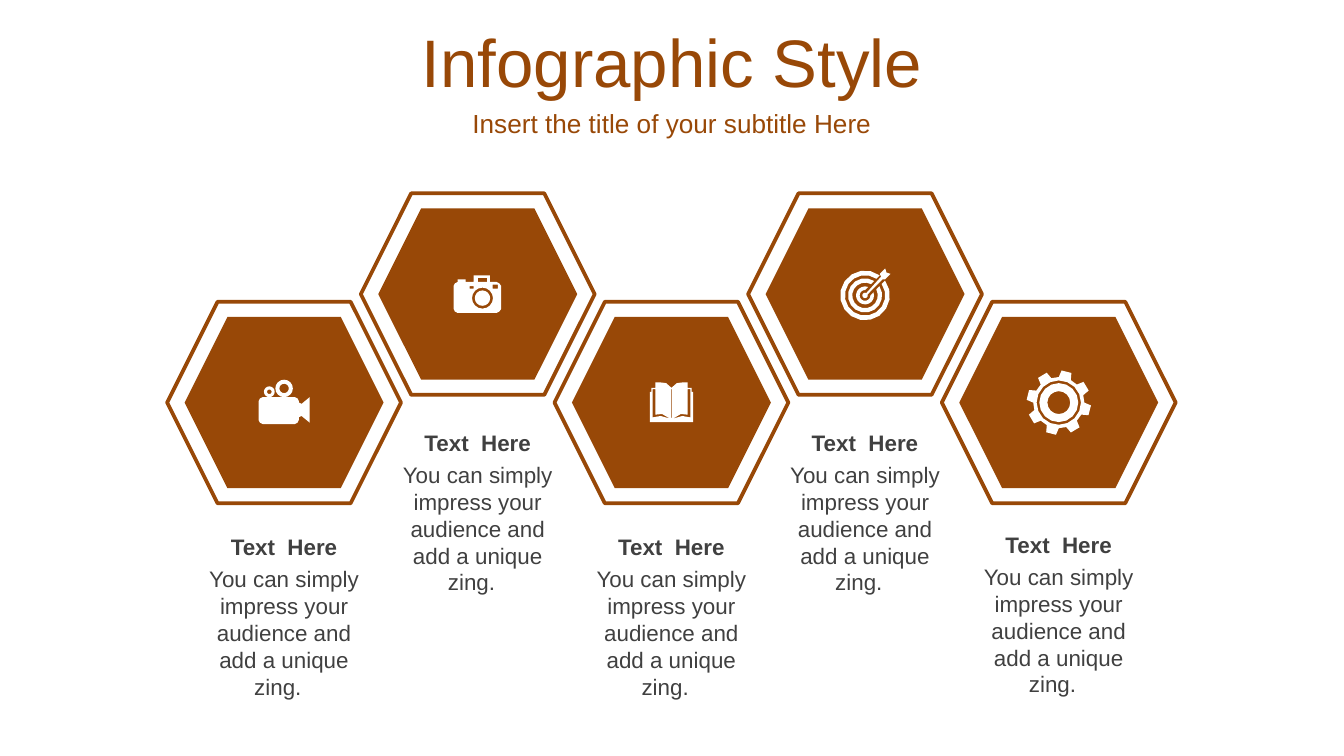
import math

import pptx
import pptx.dml.color
import pptx.enum.shapes
import pptx.enum.text
import pptx.util

Cm = pptx.util.Cm
BROWN = pptx.dml.color.RGBColor(0x98, 0x48, 0x07)
GREY = pptx.dml.color.RGBColor(0x40, 0x40, 0x40)
WHITE = pptx.dml.color.RGBColor(0xFF, 0xFF, 0xFF)
ICON_UNIT = Cm(0.0254)
FINE = 100

deck = pptx.Presentation()
deck.slide_width = Cm(25.4)
deck.slide_height = Cm(14.29)
slide = deck.slides.add_slide(deck.slide_layouts[5])


def write_text(text, left, top, width, height, size, color, bold=False,
               anchor=pptx.enum.text.MSO_ANCHOR.TOP, box=None):
    if box is None:
        box = slide.shapes.add_textbox(0, 0, Cm(1), Cm(1))
    box.left, box.top, box.width, box.height = Cm(left), Cm(top), Cm(width), Cm(height)
    frame = box.text_frame
    frame.word_wrap = True
    frame.auto_size = pptx.enum.text.MSO_AUTO_SIZE.NONE
    frame.vertical_anchor = anchor
    para = frame.paragraphs[0]
    para.alignment = pptx.enum.text.PP_ALIGN.CENTER
    span = para.add_run()
    span.text = text
    span.font.name = "Arial"
    span.font.size = pptx.util.Pt(size)
    span.font.bold = bold
    span.font.color.rgb = color


def arc(x, y, radius, start=0, end=337.5, steps=15):
    angles = [math.radians(start + (end - start) * step / steps) for step in range(steps + 1)]
    return [(x + radius * math.cos(a), y + radius * math.sin(a)) for a in angles]


video = [
    [(-19, -1), (-18, -3), (-16, -4), (8, -4), (10, -3), (11, -1), (11, 0), (13, 1),
     (19, -4), (19, 15), (13, 10), (11, 11), (11, 13), (10, 15), (8, 16), (-16, 16),
     (-18, 15), (-19, 13)],
    arc(0, -10.5, 6.5), arc(0, -10.5, 3.5), arc(-11, -8, 4), arc(-11, -8, 1.7),
]
camera = [
    [(-18, -6), (-17, -8), (-15, -9), (-15, -11), (-9, -11), (-9, -9), (-3, -9),
     (-3, -14), (9, -14), (9, -9), (14, -9), (16, -8), (17.5, -6), (17.5, 11), (16, 13),
     (14, 14), (-15, 14), (-17, 13), (-18, 11)],
    arc(3.5, 3, 7.8), arc(3.5, 3, 5.7),
]
for left, top, right, bottom in [(-6, -6, -3, -4), (11, -7, 15, -4), (0, -12, 7, -9)]:
    camera.append([(left, top), (right, top), (right, bottom), (left, bottom)])

cover_half = [(0, -11), (4, -14.5), (8, -15), (12, -15), (12, -11), (15, -11),
              (15, -8), (16, -8), (16, 14.5)]
page_gap = [(14, -10), (12, -10), (12, 9), (7, 8.5), (1, 12), (8, 10), (14, 11)]
book = [
    cover_half + [(-x, y) for x, y in reversed(cover_half[1:])],
    page_gap,
    [(-x, y) for x, y in page_gap],
    [(-0.3, -10), (0.3, -10), (0.3, 11.5), (-0.3, 11.5)],
]
target = [
    arc(0, 1, 2),
    [(1, -0.8), (12, -13), (11, -15), (15, -19), (16, -16), (19, -15), (15, -11),
     (13, -11), (1.9, 0.3)],
]
for outer, inner in [(18.5, 15), (12.7, 9.5), (6.7, 4)]:
    outer_gap, inner_gap = [math.degrees(math.asin(2.8 / r)) for r in (outer, inner)]
    target.append(arc(0, 1, outer, -45 + outer_gap, 315 - outer_gap)
                  + arc(0, 1, inner, 315 - inner_gap, -45 + inner_gap))
teeth = []
for tooth in range(8):
    for offset, radius in [(-14, 19), (-9, 24), (9, 24), (14, 19)]:
        angle = math.radians(tooth * 45 - 76 + offset)
        teeth.append((radius * math.cos(angle), radius * math.sin(angle)))
gear = [teeth, arc(0, 0, 16.5), arc(0, 0, 14.5), arc(0, 0, 8.5)]

middle = pptx.enum.text.MSO_ANCHOR.MIDDLE
write_text("Infographic Style", 0, 0.34, 25.4, 1.6, 36, BROWN,
           anchor=middle, box=slide.shapes.title)
write_text("Insert the title of your subtitle Here", 0, 1.94, 25.4, 0.79, 14, BROWN,
           anchor=middle)

steps = [
    (7.61, 9.95, video),
    (5.56, 7.98, camera),
    (7.61, 9.95, book),
    (5.56, 7.98, target),
    (7.61, 9.91, gear),
]
for index, (center_y, caption_top, contours) in enumerate(steps):
    center_x = 5.37 + index * 3.66
    for width, height, filled in [(4.42, 3.81, False), (3.76, 3.24, True)]:
        hexagon = slide.shapes.add_shape(
            pptx.enum.shapes.MSO_SHAPE.HEXAGON, Cm(center_x - width / 2),
            Cm(center_y - height / 2), Cm(width), Cm(height))
        hexagon.shadow.inherit = False
        if filled:
            hexagon.fill.solid()
            hexagon.fill.fore_color.rgb = BROWN
            hexagon.line.fill.background()
        else:
            hexagon.fill.background()
            hexagon.line.color.rgb = BROWN
            hexagon.line.width = pptx.util.Pt(2)

    outlines = [[(x * FINE, y * FINE) for x, y in contour] for contour in contours]
    builder = slide.shapes.build_freeform(*outlines[0][0], scale=ICON_UNIT / FINE)
    builder.add_line_segments(outlines[0][1:], close=True)
    for outline in outlines[1:]:
        builder.move_to(*outline[0])
        builder.add_line_segments(outline[1:], close=True)
    icon = builder.convert_to_shape(Cm(center_x), Cm(center_y))
    icon.shadow.inherit = False
    icon.fill.solid()
    icon.fill.fore_color.rgb = WHITE
    icon.line.fill.background()

    write_text("You can simply impress your audience and add a unique zing.  ",
               center_x - 1.7, caption_top + 0.61, 3.4, 2.82, 12, GREY)
    write_text("Text  Here", center_x - 1.7, caption_top, 3.4, 0.76, 12, GREY, bold=True)

deck.save("out.pptx")
